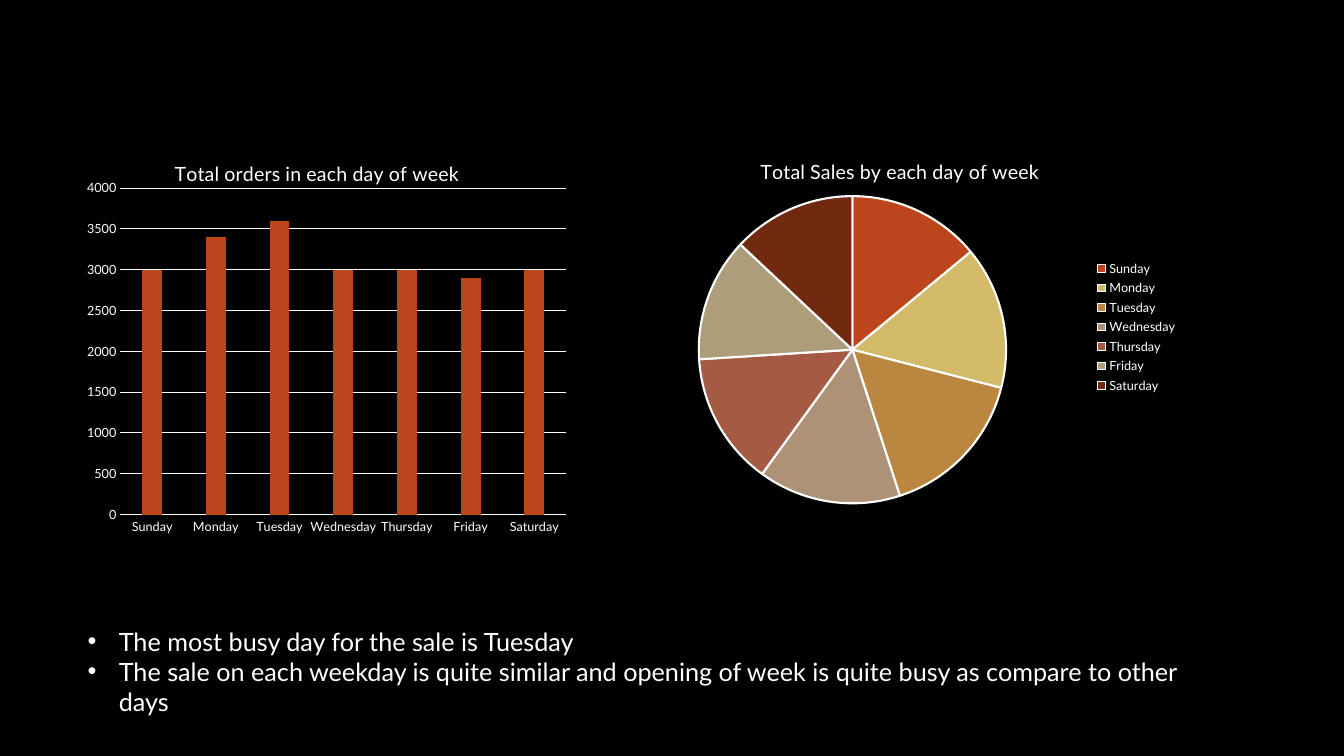
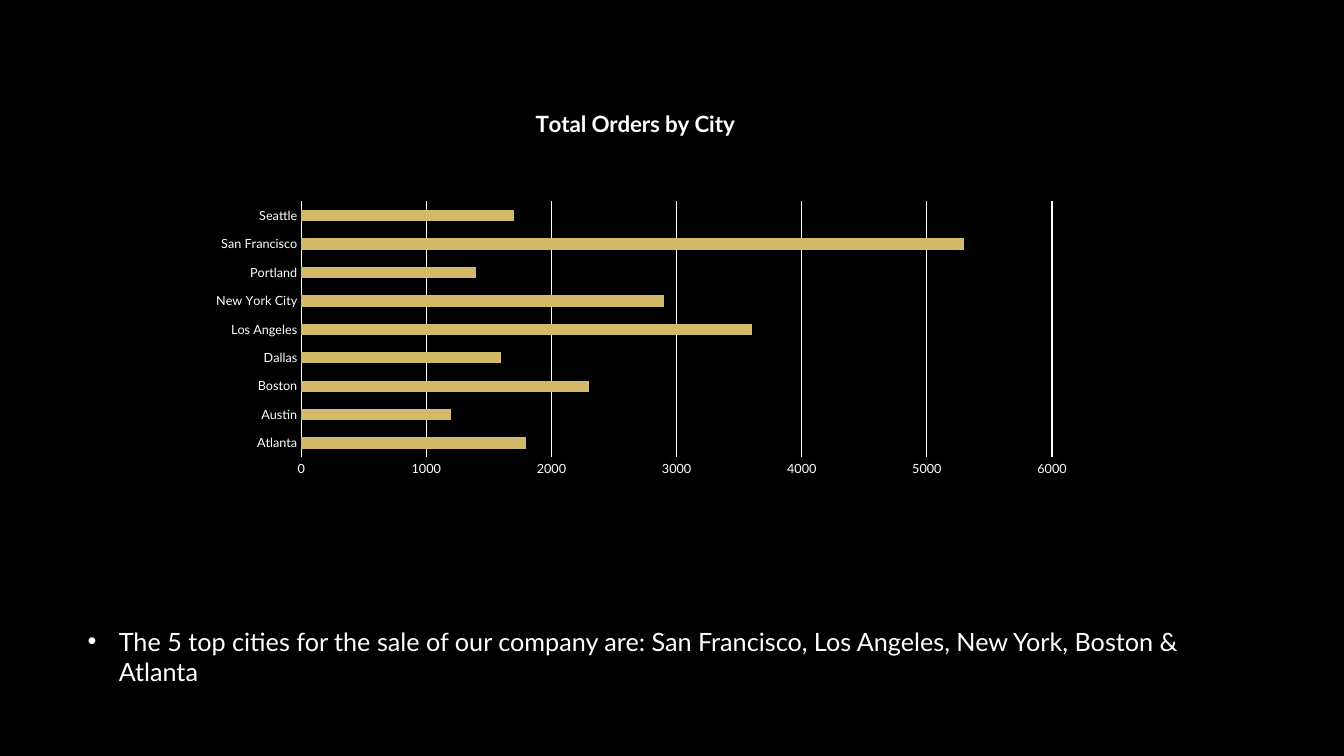
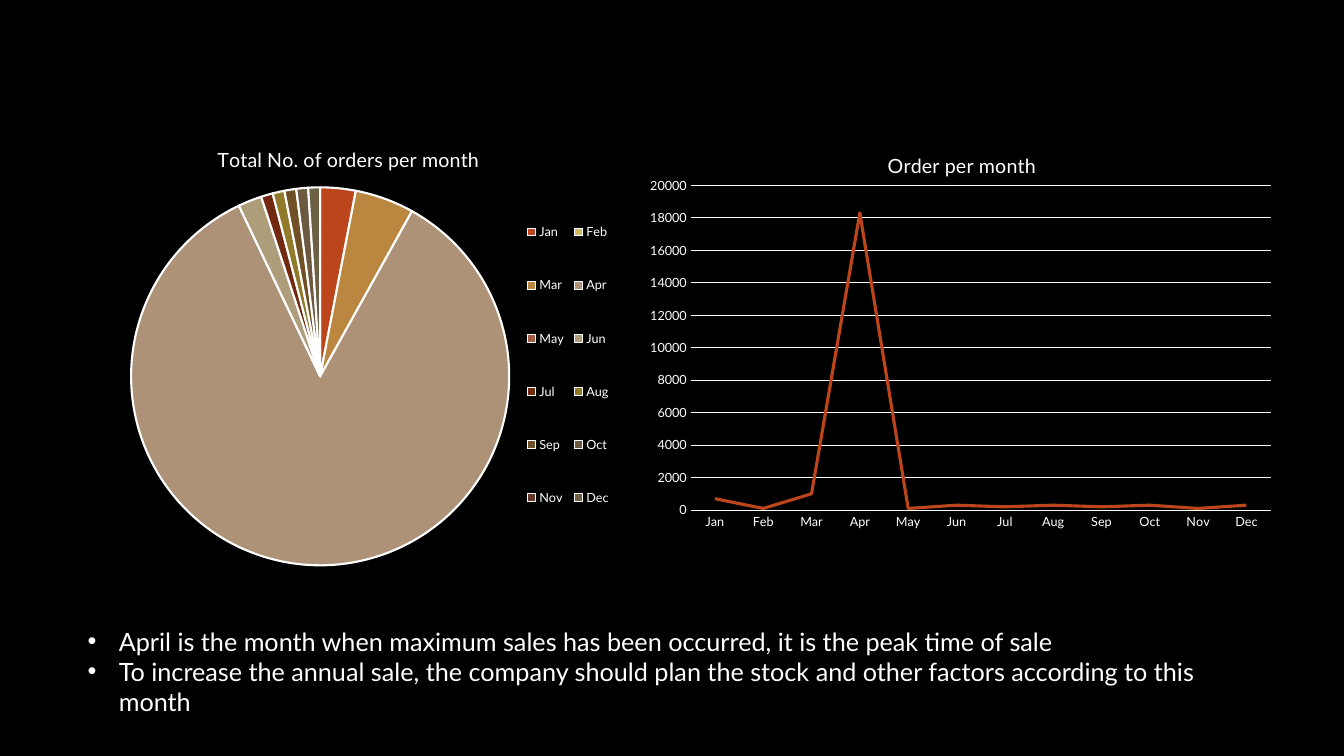
from dataclasses import dataclass

from lxml import etree
from pptx import Presentation
from pptx import util as u
from pptx.chart.data import CategoryChartData
from pptx.dml.color import RGBColor
from pptx.enum import chart as ch
from pptx.enum import text as tx
from pptx.oxml import ns


@dataclass(frozen=True)
class Theme:
    font: str = "Lato"
    back: str = "000000"
    ink: str = "FFFFFF"
    rust: str = "BC451B"
    sand: str = "D3BA68"
    slices: tuple = ("BC451B", "D3BA68", "BB8640", "AD9277", "A55A43", "AD9D7B",
                     "712910", "927A2B", "705026", "6D5842", "633628", "6E6044")
    base: int = 10
    label: int = 9
    title: int = 14
    big_title: int = 16
    body: int = 18
    grid_line: float = 0.75
    slice_line: float = 1.5
    series_line: float = 2.25


T = Theme()
WIDTH, HEIGHT = u.Inches(13.33), u.Inches(7.5)
NOTES_BOX = (5.78, 82.13, 86.27, 9.47)
DAYS = ["Sunday", "Monday", "Tuesday", "Wednesday", "Thursday", "Friday", "Saturday"]
MONTHS = ["Jan", "Feb", "Mar", "Apr", "May", "Jun",
          "Jul", "Aug", "Sep", "Oct", "Nov", "Dec"]
CITIES = ["Atlanta", "Austin", "Boston", "Dallas", "Los Angeles",
          "New York City", "Portland", "San Francisco", "Seattle"]


# Shared helpers
def place(box):
    """Turn a box in percent of the slide into lengths."""
    return [int(side * share / 100)
            for side, share in zip((WIDTH, HEIGHT, WIDTH, HEIGHT), box)]


def style_font(font, size, bold=False):
    font.name, font.size, font.bold = T.font, u.Pt(size), bold
    font.color.rgb = RGBColor.from_string(T.ink)


def paint(fill, color):
    fill.solid()
    fill.fore_color.rgb = RGBColor.from_string(color)


def style_line(line, color, width):
    paint(line.fill, color)
    line.width = u.Pt(width)


def set_layout(chart, part, shares, after=None, inner=False):
    """Place a chart part by shares (x, y and optionally w, h) of the chart."""
    el = chart._chartSpace.find(".//" + ns.qn("c:chart")).find(ns.qn("c:" + part))
    for old in el.findall(ns.qn("c:layout")):
        el.remove(old)
    layout = etree.Element(ns.qn("c:layout"))
    manual = etree.SubElement(layout, ns.qn("c:manualLayout"))
    values = [("layoutTarget", "inner")] if inner else []
    values += [("xMode", "edge"), ("yMode", "edge")]
    values += zip("xywh", shares)
    for tag, value in values:
        etree.SubElement(manual, ns.qn("c:" + tag)).set("val", str(value))
    if after:
        el.find(ns.qn("c:" + after)).addnext(layout)
    else:
        el.insert(0, layout)


# Charts
def add_chart(s, kind, box, title, title_at, cats, vals, plot_at, size=T.title, bold=False):
    data = CategoryChartData()
    data.categories = cats
    data.add_series("Series 1", vals)
    chart = s.shapes.add_chart(kind, *place(box), data).chart
    style_font(chart.font, T.base)
    chart.has_legend = False
    chart.has_title = True
    tf = chart.chart_title.text_frame
    tf.text = title
    style_font(tf.paragraphs[0].runs[0].font, size, bold)
    chart.chart_title.include_in_layout = False
    set_layout(chart, "title", title_at, after="tx")
    set_layout(chart, "plotArea", plot_at, inner=True)
    return chart


def add_axis_chart(s, kind, box, title, title_at, cats, vals, plot_at, top, step, **title_style):
    chart = add_chart(s, kind, box, title, title_at, cats, vals, plot_at, **title_style)
    plot = chart.plots[0]
    plot.vary_by_categories = False
    for axis in (chart.category_axis, chart.value_axis):
        axis.major_tick_mark = axis.minor_tick_mark = ch.XL_TICK_MARK.NONE
        style_font(axis.tick_labels.font, T.label)
    chart.category_axis.has_major_gridlines = False
    style_line(chart.category_axis.format.line, T.ink, T.grid_line)
    axis = chart.value_axis
    axis.minimum_scale, axis.maximum_scale, axis.major_unit = 0, top, step
    axis.format.line.fill.background()
    axis.has_major_gridlines = True
    style_line(axis.major_gridlines.format.line, T.ink, T.grid_line)
    return plot


def add_bars(s, kind, color, gap, overlap, **chart_parts):
    plot = add_axis_chart(s, kind, **chart_parts)
    plot.gap_width, plot.overlap = gap, overlap
    series = plot.series[0]
    series.invert_if_negative = False
    paint(series.format.fill, color)


def add_trend(s, color, **chart_parts):
    series = add_axis_chart(s, ch.XL_CHART_TYPE.LINE, **chart_parts).series[0]
    series.smooth = False
    series.marker.style = ch.XL_MARKER_STYLE.NONE
    style_line(series.format.line, color, T.series_line)


def add_pie(s, legend_at, **chart_parts):
    chart = add_chart(s, ch.XL_CHART_TYPE.PIE, **chart_parts)
    chart.plots[0].vary_by_categories = True
    points = chart.plots[0].series[0].points
    for i in range(len(chart_parts["cats"])):
        paint(points[i].format.fill, T.slices[i])
        style_line(points[i].format.line, T.ink, T.slice_line)
    chart.has_legend = True
    chart.legend.position = ch.XL_LEGEND_POSITION.RIGHT
    chart.legend.include_in_layout = False
    style_font(chart.legend.font, T.label)
    set_layout(chart, "legend", legend_at, after="legendPos")


# Findings under the charts
def add_findings(s, *lines):
    tf = s.shapes.add_textbox(*place(NOTES_BOX)).text_frame
    tf.word_wrap = True
    tf.auto_size = tx.MSO_AUTO_SIZE.SHAPE_TO_FIT_TEXT
    tf.text = "\n".join(lines)
    indent = u.Inches(0.31)
    for p in tf.paragraphs:
        style_font(p.runs[0].font, T.body)
        props = p._p.get_or_add_pPr()
        props.set("marL", str(indent))
        props.set("indent", str(-indent))
        etree.SubElement(props, ns.qn("a:buFont")).set("typeface", "Arial")
        etree.SubElement(props, ns.qn("a:buChar")).set("char", "•")


# Slides
def weekday_slide(s):
    add_bars(s, ch.XL_CHART_TYPE.COLUMN_CLUSTERED, T.rust, gap=219, overlap=-27,
             box=(4.43, 17.87, 37.73, 54),
             title="Total orders in each day of week", title_at=(0.22, 0.05),
             cats=DAYS, vals=[3000, 3400, 3600, 3000, 3000, 2900, 3000],
             plot_at=(0.12, 0.13, 0.88, 0.8), top=4000, step=500)
    add_pie(s, legend_at=(0.84, 0.32, 0.15, 0.37),
            box=(45.09, 17.87, 43.14, 50.27),
            title="Total Sales by each day of week", title_at=(0.26, 0.05),
            cats=DAYS, vals=[14, 15, 16, 15, 14, 13, 13],
            plot_at=(0.16, 0.16, 0.53, 0.81))
    add_findings(s, "The most busy day for the sale is Tuesday",
                 "The sale on each weekday is quite similar and opening of week "
                 "is quite busy as compare to other days")


def city_slide(s):
    add_bars(s, ch.XL_CHART_TYPE.BAR_CLUSTERED, T.sand, gap=150, overlap=0,
             box=(9.75, 11.07, 74.49, 53.73),
             title="Total Orders by City", title_at=(0.4, 0.05),
             size=T.big_title, bold=True,
             cats=CITIES, vals=[1800, 1200, 2300, 1600, 3600, 2900, 1400, 5300, 1700],
             plot_at=(0.17, 0.29, 0.75, 0.63), top=6000, step=1000)
    add_findings(s, "The 5 top cities for the sale of our company are: San Francisco, "
                    "Los Angeles, New York, Boston & Atlanta")


def month_slide(s):
    add_pie(s, legend_at=(0.8, 0.14, 0.16, 0.78),
            box=(3.6, 16.27, 43.96, 60.4),
            title="Total No. of orders per month", title_at=(0.28, 0.04),
            cats=MONTHS, vals=[3, 0, 5, 84, 0, 2, 1, 1, 1, 1, 0, 1],
            plot_at=(0.14, 0.14, 0.64, 0.83))
    add_trend(s, T.rust,
              box=(47.56, 16.27, 47.94, 55.07),
              title="Order per month", title_at=(0.38, 0.06),
              cats=MONTHS,
              vals=[700, 100, 1000, 18300, 100, 300, 200, 300, 200, 300, 100, 300],
              plot_at=(0.08, 0.15, 0.9, 0.78), top=20000, step=2000)
    add_findings(s, "April is the month when maximum sales has been occurred, "
                    "it is the peak time of sale",
                 "To increase the annual sale, the company should plan the stock "
                 "and other factors according to this month")


def main():
    prs = Presentation()
    prs.slide_width, prs.slide_height = WIDTH, HEIGHT
    paint(prs.slide_master.background.fill, T.back)
    blank = prs.slide_layouts[6]
    for build in (weekday_slide, city_slide, month_slide):
        build(prs.slides.add_slide(blank))
    prs.save("out.pptx")


if __name__ == "__main__":
    main()
